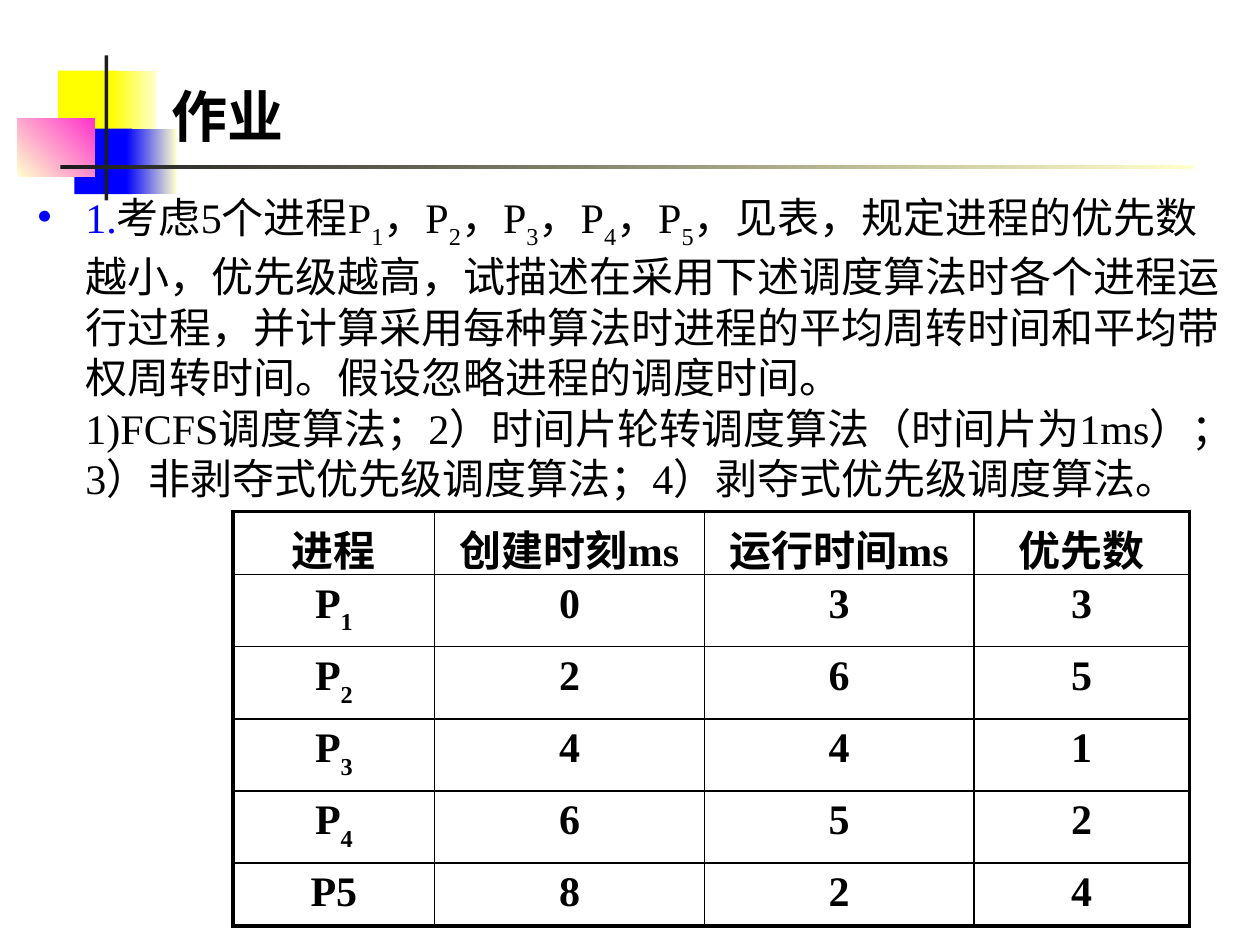
from lxml.etree import SubElement
from pptx import Presentation
from pptx.dml.color import RGBColor
from pptx.enum.shapes import MSO_SHAPE
from pptx.enum.text import MSO_ANCHOR, MSO_AUTO_SIZE, PP_ALIGN
from pptx.oxml.ns import qn
from pptx.util import Inches, Pt

COLORS = {"black": "000000", "ink": "1C1C1C", "yellow": "FFFF00",
          "cream": "FFFFCC", "blue": "0000FF", "pink": "FF33CC"}
LATIN, CJK = "Times New Roman", "Noto Sans CJK SC"


def rgb(name):
    return RGBColor.from_string(COLORS[name])


class Deck:
    def __init__(self, width, height):
        self.prs = Presentation()
        self.prs.slide_width, self.prs.slide_height = Inches(width), Inches(height)
        self.slide = self.prs.slides.add_slide(self.prs.slide_layouts[5])

    def block(self, box, start, end=None, angle=0):
        """Plain rectangle, or a two-colour gradient when end is given."""
        rect = self.slide.shapes.add_shape(MSO_SHAPE.RECTANGLE, *map(Inches, box))
        rect.shadow.inherit = False
        rect.line.fill.background()
        if end is None:
            rect.fill.solid()
            rect.fill.fore_color.rgb = rgb(start)
            return
        rect.fill.gradient()
        rect.fill.gradient_angle = angle
        for stop, color, position in zip(rect.fill.gradient_stops, (start, end), (0, 1)):
            stop.color.rgb = rgb(color)
            stop.position = position

    def style(self, run, size=24, color="black", bold=False, font=LATIN):
        run.font.name = font
        run.font.size = Pt(size)
        run.font.bold = bold
        run.font.color.rgb = rgb(color)
        SubElement(run.font._element, qn("a:ea"), typeface=CJK)

    def add_text(self, paragraph, text, **look):
        """Add text; the character after each underscore is a subscript."""
        first, *rest = text.split("_")
        pieces = [(first, False)]
        for part in rest:
            pieces += [(part[0], True), (part[1:], False)]
        for piece, subscript in pieces:
            if piece:
                run = paragraph.add_run()
                run.text = piece
                self.style(run, **look)
                if subscript:
                    run.font._element.set("baseline", "-30000")

    def space_before(self, paragraph, percent):
        props = paragraph._p.get_or_add_pPr()
        SubElement(SubElement(props, qn("a:spcBef")), qn("a:spcPct"),
                   val=str(percent * 1000))
        return props

    def title(self, box, text):
        heading = self.slide.shapes.title
        heading.left, heading.top, heading.width, heading.height = map(Inches, box)
        frame = heading.text_frame
        frame.text = text
        frame.vertical_anchor = MSO_ANCHOR.BOTTOM
        frame.auto_size = MSO_AUTO_SIZE.NONE
        paragraph = frame.paragraphs[0]
        paragraph.alignment = PP_ALIGN.LEFT
        paragraph.line_spacing = 1.3
        self.style(paragraph.runs[0], 32, bold=True, font=CJK)
        # Keep the title in front of the decoration
        self.slide.shapes._spTree.append(heading._element)

    def bullet(self, box, number, lines):
        frame = self.slide.shapes.add_textbox(*map(Inches, box)).text_frame
        frame.word_wrap = True
        paragraph = frame.paragraphs[0]
        props = self.space_before(paragraph, 20)
        props.set("marL", str(Inches(0.38)))
        props.set("indent", str(Inches(-0.38)))
        SubElement(SubElement(props, qn("a:buClr")), qn("a:srgbClr"), val=COLORS["blue"])
        SubElement(props, qn("a:buChar"), char="•")
        self.add_text(paragraph, number, color="blue")
        for index, line in enumerate(lines):
            if index:
                paragraph.add_line_break()
            self.add_text(paragraph, line)

    def borders(self, cell, widths):
        props = cell._tc.get_or_add_tcPr()
        for side, width in zip("LRTB", widths):
            line = SubElement(props, qn(f"a:ln{side}"), w=str(Pt(width)))
            SubElement(SubElement(line, qn("a:solidFill")), qn("a:srgbClr"),
                       val=COLORS["black"])

    def table(self, box, widths, row_height, rows):
        grid = self.slide.shapes.add_table(len(rows), len(widths), *map(Inches, box)).table
        grid.first_row = grid.horz_banding = False
        for column, width in zip(grid.columns, widths):
            column.width = Inches(width)
        last_row, last_col = len(rows) - 1, len(widths) - 1
        for r, values in enumerate(rows):
            grid.rows[r].height = Inches(row_height)
            for c, value in enumerate(values):
                cell = grid.cell(r, c)
                paragraph = cell.text_frame.paragraphs[0]
                paragraph.alignment = PP_ALIGN.CENTER
                self.space_before(paragraph, 20)
                self.add_text(paragraph, value, bold=True)
                outer = (c == 0, c == last_col, r == 0, r == last_row)
                self.borders(cell, [2.25 if edge else 1 for edge in outer])
                cell.fill.background()


deck = Deck(10, 7.5)

# Corner decoration and rule
deck.block((0.46, 0.56, 0.48, 0.52), "yellow")
deck.block((0.88, 0.56, 0.36, 0.52), "yellow", "cream")
deck.block((0.59, 1.02, 0.46, 0.52), "blue")
deck.block((1, 1.02, 0.4, 0.52), "blue", "cream")
deck.block((0.14, 0.94, 0.61, 0.46), "cream", "pink", angle=45)
deck.block((0.83, 0.44, 0.03, 1.15), "ink")
deck.block((0.48, 1.31, 9, 0.03), "ink", "cream")

# Title and exercise
deck.title((1.26, 0.28, 8.52, 0.95), "作业")
deck.bullet((0.2, 1.47, 9.6, 5.24), "1.", [
    "考虑5个进程P_1，P_2，P_3，P_4，P_5，见表，规定进程的优先数越小，优先级越高，"
    "试描述在采用下述调度算法时各个进程运行过程，并计算采用每种算法时进程的"
    "平均周转时间和平均带权周转时间。假设忽略进程的调度时间。",
    "1)FCFS调度算法；2）时间片轮转调度算法（时间片为1ms）；"
    "3）非剥夺式优先级调度算法；4）剥夺式优先级调度算法。",
])

# Process table
deck.table((1.85, 4.06, 7.59, 2.4), (1.6, 2.14, 2.14, 1.71), 0.4, [
    ("进程", "创建时刻ms", "运行时间ms", "优先数"),
    ("P_1", "0", "3", "3"),
    ("P_2", "2", "6", "5"),
    ("P_3", "4", "4", "1"),
    ("P_4", "6", "5", "2"),
    ("P5", "8", "2", "4"),
])

deck.prs.save("out.pptx")
